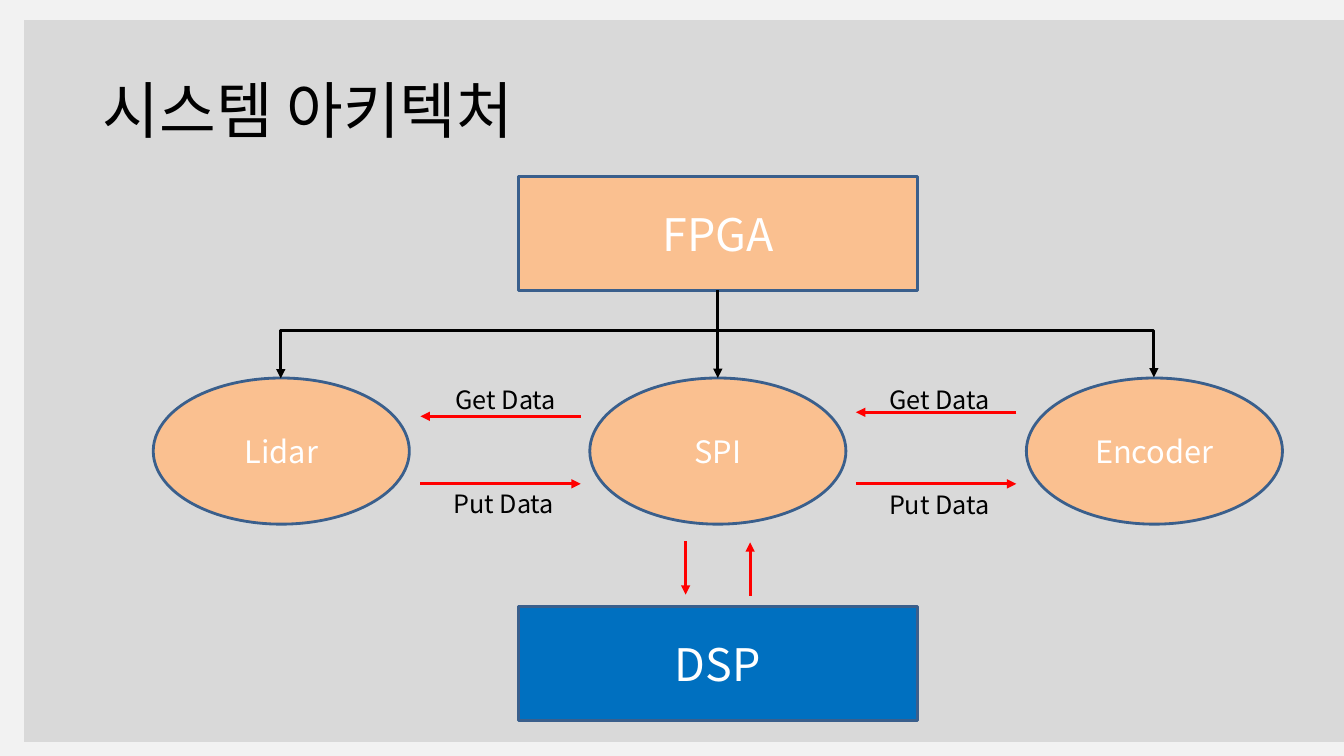
from dataclasses import dataclass

from lxml import etree
from pptx import Presentation
from pptx import util as u
from pptx.dml.color import RGBColor
from pptx.enum import shapes, text
from pptx.oxml.ns import qn

SCALE = 9144


@dataclass(frozen=True)
class Theme:
    font: str = "Noto Sans CJK KR"
    back: str = "F2F2F2"
    panel: str = "D9D9D9"
    peach: str = "FAC090"
    blue: str = "0070C0"
    edge: str = "3A5F8C"
    red: str = "FF0000"
    black: str = "000000"
    white: str = "FFFFFF"
    title: int = 44
    box: int = 32
    oval: int = 22
    label: int = 18
    rim: float = 2
    line: float = 2.25


T = Theme()
RECT = shapes.MSO_SHAPE.RECTANGLE
OVAL = shapes.MSO_SHAPE.OVAL
MID = text.MSO_ANCHOR.MIDDLE
TOP = text.MSO_ANCHOR.TOP


def px(*vals):
    return [u.Emu(val * SCALE) for val in vals]


def rgb(code):
    return RGBColor.from_string(code)


def write(shape, words, size, color, anchor, align=None):
    frame = shape.text_frame
    frame.word_wrap = True
    frame.vertical_anchor = anchor
    para = frame.paragraphs[0]
    para.alignment = align
    run = para.add_run()
    run.text = words
    run.font.size = u.Pt(size)
    run.font.name = T.font
    run.font.color.rgb = rgb(color)
    etree.SubElement(run.font._element, qn("a:ea"), typeface=T.font)
    return para


def node(slide, kind, area, fill, words, size):
    shape = slide.shapes.add_shape(kind, *px(*area))
    shape.shadow.inherit = False
    shape.fill.solid()
    shape.fill.fore_color.rgb = rgb(fill)
    shape.line.color.rgb = rgb(T.edge)
    shape.line.width = u.Pt(T.rim)
    write(shape, words, size, T.white, MID, text.PP_ALIGN.CENTER)
    return shape


def panel(slide, area):
    shape = slide.shapes.add_shape(RECT, *px(*area))
    shape.shadow.inherit = False
    shape.fill.solid()
    shape.fill.fore_color.rgb = rgb(T.panel)
    shape.line.fill.background()
    tint = shape._element.spPr.find(qn("a:solidFill"))[0]
    etree.SubElement(tint, qn("a:alpha"), val="96000")


def label(slide, area, words, size=T.label, anchor=TOP):
    box = slide.shapes.add_textbox(*px(*area))
    return write(box, words, size, T.black, anchor)


def arrow(slide, ends, color, kind=shapes.MSO_CONNECTOR.STRAIGHT, tips=("tailEnd",)):
    link = slide.shapes.add_connector(kind, *px(*ends))
    link.line.color.rgb = rgb(color)
    link.line.width = u.Pt(T.line)
    line = link.line._get_or_add_ln()
    for tip in tips:
        etree.SubElement(line, qn("a:" + tip), type="triangle")
    etree.SubElement(link._element.spPr, qn("a:effectLst"))
    return link


def bus(slide, left, right, low, rise):
    mid = (left + right) // 2
    half = (right - left) // 2
    link = arrow(slide, (mid, low + half, mid - 1, low - half), T.black,
                 shapes.MSO_CONNECTOR.ELBOW, ("headEnd", "tailEnd"))
    props = link._element.spPr
    props.find(qn("a:xfrm")).set("rot", "5400000")
    geom = props.find(qn("a:prstGeom"))
    guides = geom.find(qn("a:avLst"))
    if guides is None:
        guides = etree.SubElement(geom, qn("a:avLst"))
    etree.SubElement(guides, qn("a:gd"), name="adj1", fmla=f"val {rise * 100000}")


def main():
    deck = Presentation()
    deck.slide_width, deck.slide_height = px(1333, 750)
    slide = deck.slides.add_slide(deck.slide_layouts[6])
    slide.background.fill.solid()
    slide.background.fill.fore_color.rgb = rgb(T.back)
    panel(slide, (24, 20, 1310, 716))
    title = label(slide, (92, 40, 1150, 145), "시스템 아키텍처", T.title, MID)
    title.line_spacing = 0.9

    mid, pitch = 712, 433
    fpga, dsp = [
        node(slide, RECT, (mid - 198, top, 396, 113), fill, words, T.box)
        for top, fill, words in ((175, T.peach, "FPGA"), (602, T.blue, "DSP"))
    ]
    lidar, spi, coder = [
        node(slide, OVAL, (mid + step * pitch - 127, 375, 254, 145),
             T.peach, words, T.oval)
        for step, words in ((-1, "Lidar"), (0, "SPI"), (1, "Encoder"))
    ]
    stem = arrow(slide, (mid, 288, mid, 375), T.black)
    stem.begin_connect(fpga, 2)
    stem.end_connect(spi, 0)
    bus(slide, mid - pitch, mid + pitch, 375, 48)

    for left, high, get, put in (
        (417, 413, (442, 376), (440, 480)),
        (849, 409, (872, 376), (872, 481)),
    ):
        right = left + 159
        arrow(slide, (right, high, left, high), T.red)
        arrow(slide, (left, 480, right, 480), T.red)
        label(slide, (*get, 137, 40), "Get Data")
        label(slide, (*put, 137, 40), "Put Data")
    arrow(slide, (680, 537, 680, 590), T.red)
    arrow(slide, (744, 591, 744, 538), T.red)
    deck.save("out.pptx")


if __name__ == "__main__":
    main()
